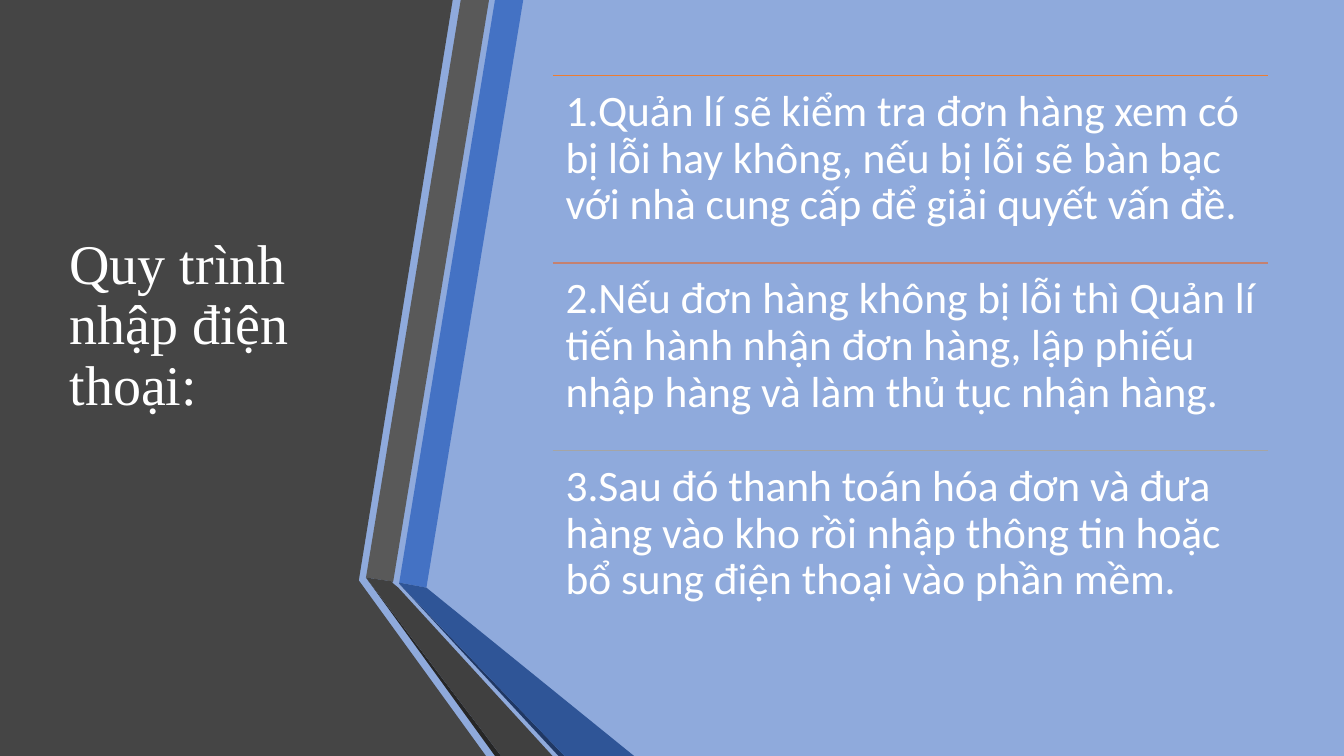
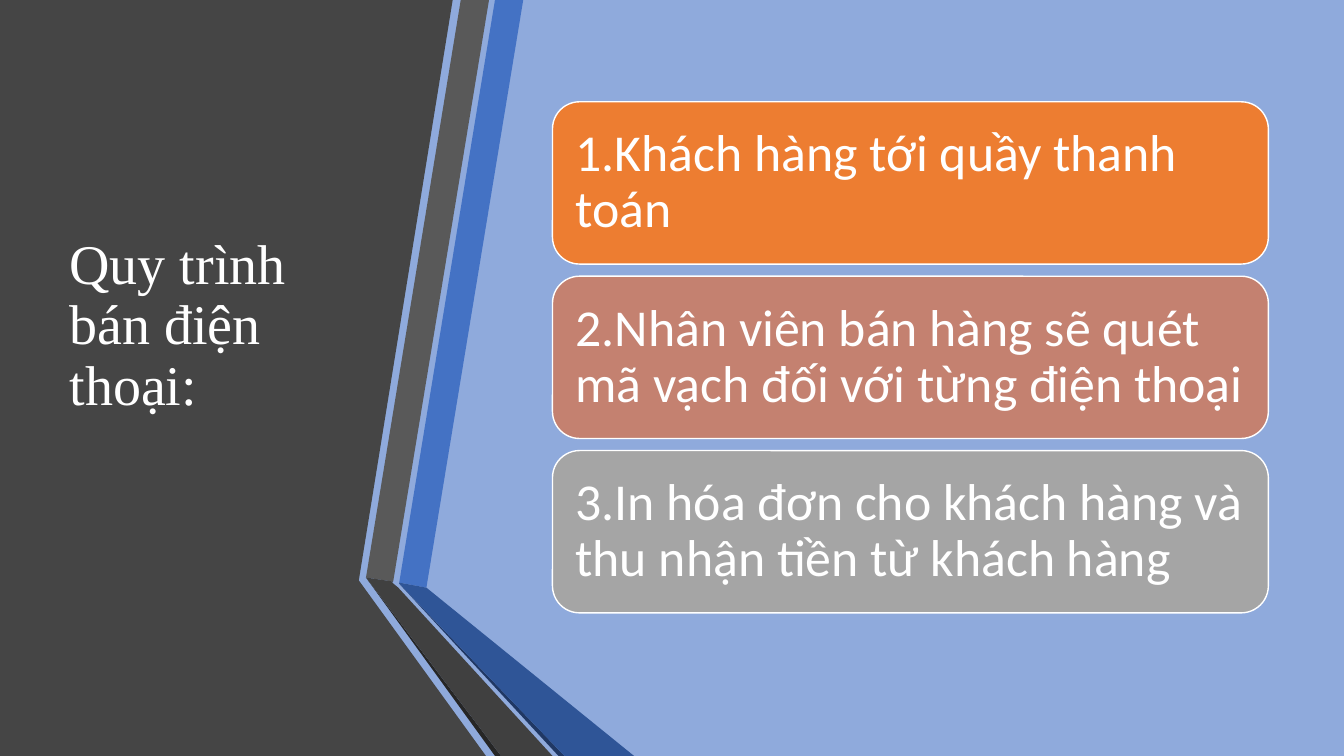
"""Build two process slides that share a folded side band and a title style."""
from dataclasses import dataclass

from lxml import etree
from pptx import Presentation
from pptx.dml.color import RGBColor
from pptx.enum.shapes import MSO_CONNECTOR, MSO_SHAPE
from pptx.enum.text import MSO_ANCHOR, MSO_AUTO_SIZE, PP_ALIGN
from pptx.oxml.ns import qn
from pptx.presentation import Presentation as Deck
from pptx.shapes.autoshape import Shape
from pptx.slide import Slide
from pptx.text.text import TextFrame
from pptx.util import Emu, Pt

LINE = MSO_CONNECTOR.STRAIGHT
ROUND = MSO_SHAPE.ROUNDED_RECTANGLE
TOP = MSO_ANCHOR.TOP
MIDDLE = MSO_ANCHOR.MIDDLE
FIXED = MSO_AUTO_SIZE.NONE
LEFT = PP_ALIGN.LEFT

SKY = RGBColor(0x8F, 0xAA, 0xDC)
WHITE = RGBColor(0xFF, 0xFF, 0xFF)
COAL = RGBColor(0x45, 0x45, 0x45)
BLUE = RGBColor(0x44, 0x72, 0xC4)
GREY = RGBColor(0x59, 0x59, 0x59)
BLACK = RGBColor(0x26, 0x26, 0x26)
NAVY = RGBColor(0x20, 0x38, 0x64)
DEEP = RGBColor(0x2F, 0x55, 0x97)
DARK = RGBColor(0x40, 0x40, 0x40)
ORANGE = RGBColor(0xED, 0x7D, 0x31)
ROSE = RGBColor(0xC4, 0x81, 0x70)
SILVER = RGBColor(0xA5, 0xA5, 0xA5)
HUES = (ORANGE, ROSE, SILVER)

PX = 9144
WIDE, HIGH = 1333, 750
STEP_X, STEP_W = 548, 710
ROW_Y, ROW_H = 75, 186
CARD_Y, CARD_H, CARD_GAP = 101, 161, 12
SERIF, SANS = "Times New Roman", "Calibri"


@dataclass(frozen=True)
class Band:
    """One flat facet of the folded side band."""

    color: RGBColor
    points: tuple[tuple[int, int], ...]


BANDS = (
    Band(COAL, ((0, 0), (449, 0), (356, 575), (356, 576), (482, 750), (0, 750))),
    Band(BLUE, ((396, 578), (423, 583), (519, 0), (491, 0))),
    Band(GREY, ((485, 0), (457, 0), (363, 573), (390, 577))),
    Band(BLACK, ((363, 573), (491, 750), (497, 750))),
    Band(NAVY, ((396, 579), (554, 750), (560, 750))),
    Band(DEEP, ((396, 579), (560, 750), (629, 750), (423, 583), (396, 578))),
    Band(DARK, ((548, 750), (395, 583), (389, 578), (390, 577), (363, 573), (497, 750))),
)

ENTRY = (
    "1.Quản lí sẽ kiểm tra đơn hàng xem có bị lỗi hay không, nếu bị lỗi sẽ bàn bạc với nhà cung cấp để giải quyết vấn đề.",
    "2.Nếu đơn hàng không bị lỗi thì Quản lí tiến hành nhận đơn hàng, lập phiếu nhập hàng và làm thủ tục nhận hàng.",
    "3.Sau đó thanh toán hóa đơn và đưa hàng vào kho rồi nhập thông tin hoặc bổ sung điện thoại vào phần mềm.",
)
SALE = (
    "1.Khách hàng tới quầy thanh toán",
    "2.Nhân viên bán hàng sẽ quét mã vạch đối với từng điện thoại",
    "3.In hóa đơn cho khách hàng và thu nhận tiền từ khách hàng",
)


def px(count: int) -> Emu:
    """Turn px into EMU."""
    return Emu(count * PX)


def write(frame: TextFrame, text: str, face: str, size: int, anchor: MSO_ANCHOR, pad: int) -> None:
    """Fill a frame with one white, left-aligned paragraph."""
    frame.text = text
    frame.word_wrap = True
    frame.auto_size = FIXED
    frame.vertical_anchor = anchor
    frame.margin_left = frame.margin_right = px(pad)
    frame.margin_top = frame.margin_bottom = px(pad)
    para = frame.paragraphs[0]
    para.alignment = LEFT
    para.line_spacing = 0.9
    para.space_before = Pt(0)
    para.font.name = face
    para.font.size = Pt(size)
    para.font.color.rgb = WHITE


def paint(shape: Shape, color: RGBColor) -> None:
    """Give a shape a flat fill and no shadow."""
    shape.shadow.inherit = False
    shape.fill.solid()
    shape.fill.fore_color.rgb = color


def add_band(slide: Slide, band: Band) -> None:
    """Draw one facet of the side band."""
    pen = slide.shapes.build_freeform(*band.points[0], scale=PX)
    pen.add_line_segments(band.points[1:], close=True)
    shape = pen.convert_to_shape()
    paint(shape, band.color)
    shape.line.fill.background()


def add_base(deck: Deck, text: str) -> Slide:
    """Add a slide with the side band and its title on top."""
    slide = deck.slides.add_slide(deck.slide_layouts.get_by_name("Title Only"))
    for band in BANDS:
        add_band(slide, band)
    title = slide.shapes.title
    slide.shapes.element.append(title.element)
    title.left, title.top = px(59), px(75)
    title.width, title.height = px(304), px(558)
    frame = title.text_frame
    write(frame, text, SERIF, 40, MIDDLE, 10)
    frame.margin_top, frame.margin_bottom = px(5), px(65)
    return slide


def add_row(slide: Slide, rank: int, text: str) -> None:
    """Draw one step as text below a thin rule."""
    top = px(ROW_Y + rank * ROW_H)
    left, width = px(STEP_X), px(STEP_W)
    rule = slide.shapes.add_connector(LINE, left, top, left + width, top)
    rule.line.color.rgb = HUES[rank]
    rule.line.width = Pt(1)
    etree.SubElement(rule.element.spPr, qn("a:effectLst"))
    box = slide.shapes.add_textbox(left, top, width, px(ROW_H))
    write(box.text_frame, text, SANS, 31, TOP, 13)


def add_card(slide: Slide, rank: int, text: str) -> None:
    """Draw one step as a rounded card."""
    top = CARD_Y + rank * (CARD_H + CARD_GAP)
    card = slide.shapes.add_shape(ROUND, px(STEP_X), px(top), px(STEP_W), px(CARD_H))
    paint(card, HUES[rank])
    card.line.color.rgb = WHITE
    card.line.width = Pt(1)
    write(card.text_frame, text, SANS, 37, MIDDLE, 15)


def main() -> None:
    """Build and save the deck."""
    deck = Presentation()
    deck.slide_width, deck.slide_height = px(WIDE), px(HIGH)
    back = deck.slide_master.background.fill
    back.solid()
    back.fore_color.rgb = SKY
    parts = (
        ("Quy trình nhập điện thoại:", ENTRY, add_row),
        ("Quy trình bán điện thoại:", SALE, add_card),
    )
    for title, steps, draw in parts:
        slide = add_base(deck, title)
        for rank, text in enumerate(steps):
            draw(slide, rank, text)
    deck.save("out.pptx")


if __name__ == "__main__":
    main()
